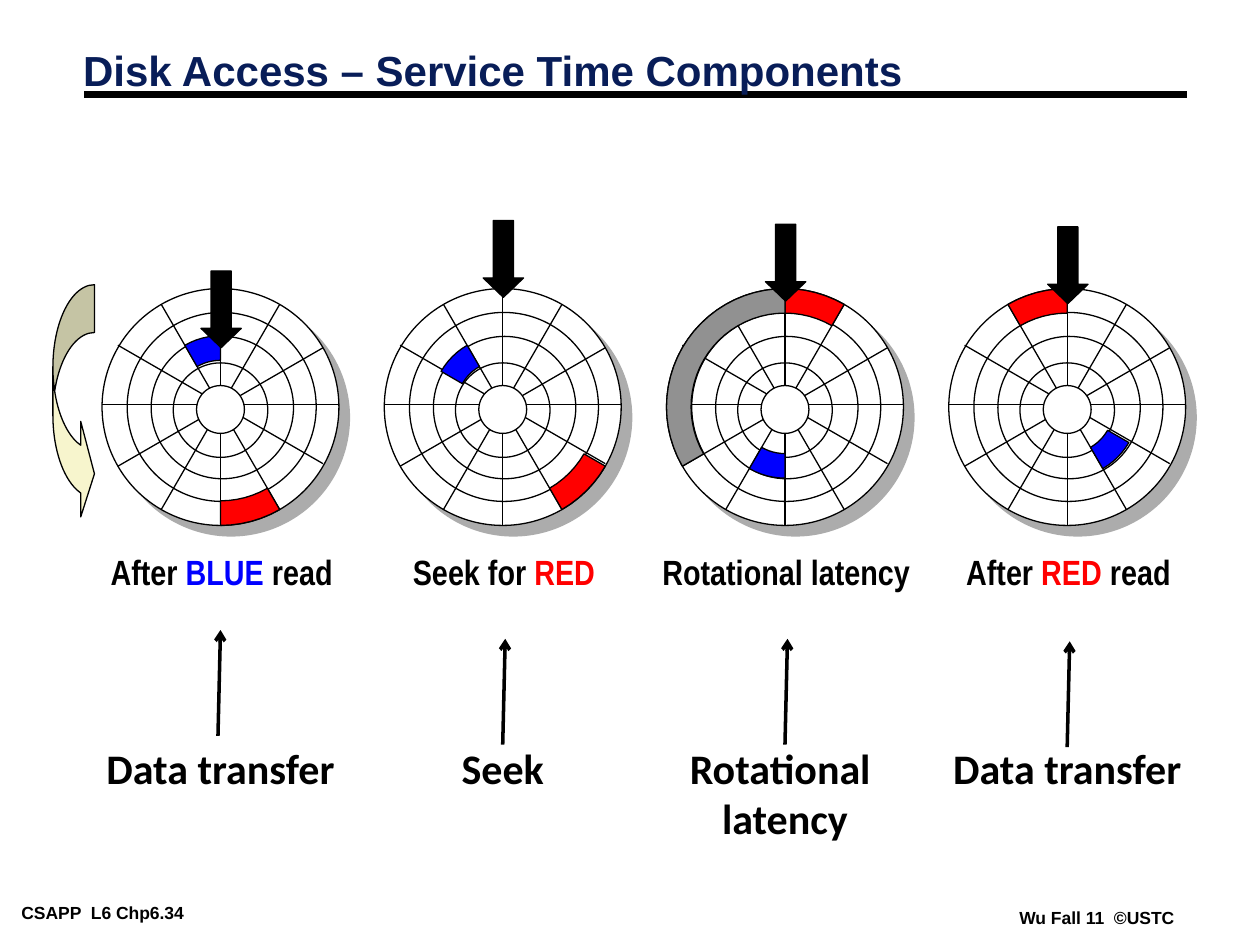
import math
import pptx
import pptx.dml.color
import pptx.enum.shapes
import pptx.enum.text
import pptx.oxml.ns
import pptx.util
from lxml import etree

BLACK = pptx.dml.color.RGBColor(0, 0, 0)
WHITE = pptx.dml.color.RGBColor(255, 255, 255)
NAVY = pptx.dml.color.RGBColor(0x08, 0x1D, 0x58)
BLUE = pptx.dml.color.RGBColor(0, 0, 255)
RED = pptx.dml.color.RGBColor(255, 0, 0)
GRAY = pptx.dml.color.RGBColor(0x91, 0x91, 0x91)
CREAM = pptx.dml.color.RGBColor(0xF7, 0xF5, 0xCD)

PRESET = pptx.enum.shapes.MSO_SHAPE
ALIGN = pptx.enum.text.PP_ALIGN
qn = pptx.oxml.ns.qn

SLIDE_WIDTH = pptx.util.Inches(10)
SLIDE_HEIGHT = pptx.util.Inches(7.5)
CELL = SLIDE_WIDTH / 100

FIRST_CENTER, DISK_PITCH = 17.5, 22.4
DISK_TOP, DISK_SIZE = 22.9, 18.8
OUTER_TRACK, INNER_TRACK = (7.45, 9.4), (3.7, 5.65)
RINGS = [(18.8, 0, 0), (15, 0.1, 0), (11.3, 0.15, 0.05), (7.5, 0, 0.25), (3.8, 0, 0.2)]

STAGES = [
    dict(caption=[("After ", BLACK), ("BLUE ", BLUE), ("read", BLACK)], caption_width=23.3,
         label=["Data transfer"], label_width=20.3, head_top=21.5, pointer=(-0.2, 58.4),
         sectors=[(330, 360, INNER_TRACK, BLUE), (150, 180, OUTER_TRACK, RED)]),
    dict(caption=[("Seek for ", BLACK), ("RED", RED)], caption_width=20,
         label=["Seek"], label_width=8.5, head_top=17.5, pointer=(0, 59.1),
         sectors=[(120, 150, OUTER_TRACK, RED), (300, 330, INNER_TRACK, BLUE)]),
    dict(caption=[("Rotational latency", BLACK)], caption_width=26.7,
         label=["Rotational ", "latency"], label_width=18.1, head_top=17.8, pointer=(0, 59.1),
         sectors=[(0, 30, OUTER_TRACK, RED), (180, 210, INNER_TRACK, BLUE),
                  (240, 360, OUTER_TRACK, GRAY)]),
    dict(caption=[("After ", BLACK), ("RED", RED), (" read", BLACK)], caption_width=23.3,
         label=["Data transfer"], label_width=20.3, head_top=18, pointer=(0, 59.3),
         sectors=[(330, 360, OUTER_TRACK, RED), (120, 150, INNER_TRACK, BLUE)]),
]


def cells(*values):
    return [round(value * CELL) for value in values]


def write_text(shape, paragraphs, size=24, font="Arial", align=ALIGN.LEFT, wrap=True,
               margins=(1, 0.5), spacing=None):
    frame = shape.text_frame
    frame.auto_size = pptx.enum.text.MSO_AUTO_SIZE.NONE
    frame.word_wrap = wrap
    frame.margin_left = frame.margin_right = cells(margins[0])[0]
    frame.margin_top = frame.margin_bottom = cells(margins[1])[0]
    for index, runs in enumerate(paragraphs):
        paragraph = frame.add_paragraph() if index else frame.paragraphs[0]
        paragraph.alignment = align
        if spacing:
            paragraph.line_spacing = spacing
        for text, color in runs:
            run = paragraph.add_run()
            run.text = text
            run.font.name = font
            run.font.size = pptx.util.Pt(size)
            run.font.bold = True
            run.font.color.rgb = color


def paint(shape, fill):
    shape.shadow.inherit = False
    shape.fill.solid()
    shape.fill.fore_color.rgb = fill
    shape.line.color.rgb = BLACK
    shape.line.width = pptx.util.Pt(0.75)
    return shape


def add_preset(shapes, preset, box, fill):
    return paint(shapes.add_shape(preset, *cells(*box)), fill)


def add_line(shapes, start, end, width, arrow=False):
    connector = shapes.add_connector(
        pptx.enum.shapes.MSO_CONNECTOR.STRAIGHT, *cells(*start, *end))
    connector.line.color.rgb = BLACK
    connector.line.width = pptx.util.Pt(width)
    properties = connector._element.spPr
    if arrow:
        etree.SubElement(properties.find(qn("a:ln")), qn("a:tailEnd"), type="arrow")
    etree.SubElement(properties, qn("a:effectLst"))


def add_disk_shadow(shape):
    effects = shape._element.spPr.find(qn("a:effectLst"))
    shadow = etree.SubElement(effects, qn("a:outerShdw"), dist=str(pptx.util.Pt(8.5)),
                              dir="2700000", algn="ctr", rotWithShape="0")
    color = etree.SubElement(shadow, qn("a:srgbClr"), val=str(GRAY))
    etree.SubElement(color, qn("a:alpha"), val="75000")


def polar(center_x, center_y, radius, degrees):
    angle = math.radians(degrees)
    return center_x + radius * math.sin(angle), center_y - radius * math.cos(angle)


def add_sector(shapes, center, start, end, track, fill):
    inner, outer = track
    angles = range(start, end + 1, 5)
    points = [cells(*polar(*center, outer, angle)) for angle in angles]
    points += [cells(*polar(*center, inner, angle)) for angle in reversed(angles)]
    builder = shapes.build_freeform(*points[0])
    builder.add_line_segments(points[1:], close=True)
    paint(builder.convert_to_shape(), fill)


def add_disk(slide, left, top, size, sectors, head_top):
    shapes = slide.shapes.add_group_shape().shapes
    center_x, center_y = left + size / 2, top + size / 2
    rings = [(center_x - ring / 2 + right, center_y - ring / 2 + down, ring, ring)
             for ring, right, down in RINGS]
    for index, box in enumerate(rings[:-1]):
        ring = add_preset(shapes, PRESET.OVAL, box, WHITE)
        if index == 0:
            add_disk_shadow(ring)
    for degrees in range(0, 180, 30):
        lift = 0.2 if degrees in (90, 120) else 0
        add_line(shapes, polar(center_x, center_y - lift, size / 2, degrees),
                 polar(center_x, center_y - lift, size / 2, degrees + 180), 0.75)
    add_preset(shapes, PRESET.OVAL, rings[-1], WHITE)
    for sector in sectors:
        add_sector(shapes, (center_x, center_y), *sector)
    head = add_preset(shapes, PRESET.DOWN_ARROW, (center_x - 1.55, head_top, 3.2, 6.1), BLACK)
    head.adjustments[1] = 0.48


def add_stage(slide, center, stage):
    add_disk(slide, center - DISK_SIZE / 2, DISK_TOP, DISK_SIZE,
             stage["sectors"], stage["head_top"])
    width = stage["caption_width"]
    caption = slide.shapes.add_textbox(*cells(center + 0.1 - width / 2, 43.2, width, 4.4))
    write_text(caption, [stage["caption"]], size=20, font="Arial Narrow", align=ALIGN.CENTER)
    width, lines = stage["label_width"], stage["label"]
    label = slide.shapes.add_textbox(
        *cells(center - width / 2, 58.4, width, 1 + 4 * len(lines)))
    write_text(label, [[(line, BLACK)] for line in lines], font="Calibri",
               align=ALIGN.CENTER, wrap=len(lines) > 1)
    shift, bottom = stage["pointer"]
    add_line(slide.shapes, (center + shift, bottom),
             (center + shift + 0.2, bottom - 8.4), 2, arrow=True)


def add_rotation_arrow(slide, box):
    arrow = add_preset(slide.shapes, PRESET.CURVED_RIGHT_ARROW, box, CREAM)
    for index, value in enumerate((1.15, 2.3, 0.33)):
        arrow.adjustments[index] = value


def add_footer(slide, box, text):
    footer = slide.shapes.add_textbox(*cells(*box))
    write_text(footer, [[(text, BLACK)]], size=10, wrap=False, margins=(0.7, 0.3))


def add_heading(slide, box, text):
    left, top, width, height = box
    add_line(slide.shapes, (left + 1.1, 7.5), (left + width + 0.1, 7.5), 4.5)
    title = slide.shapes.title
    title.left, title.top, title.width, title.height = cells(*box)
    title.text_frame.vertical_anchor = pptx.enum.text.MSO_ANCHOR.MIDDLE
    write_text(title, [[(text, NAVY)]], spacing=0.87)
    slide.shapes._spTree.append(title._element)


def main():
    presentation = pptx.Presentation()
    presentation.slide_width, presentation.slide_height = SLIDE_WIDTH, SLIDE_HEIGHT
    slide = presentation.slides.add_slide(presentation.slide_layouts[5])
    add_footer(slide, (1, 71.3, 19.5, 2.2), "CSAPP  L6 Chp6.34")
    add_footer(slide, (80.2, 71.7, 13.8, 2.2), "Wu Fall 11  ©USTC")
    add_heading(slide, (5.6, 3.6, 88.5, 4.5), "Disk Access – Service Time Components")
    for index, stage in enumerate(STAGES):
        add_stage(slide, FIRST_CENTER + index * DISK_PITCH, stage)
    add_rotation_arrow(slide, (4.2, 22.6, 3.3, 18.8))
    presentation.save("out.pptx")


if __name__ == "__main__":
    main()
